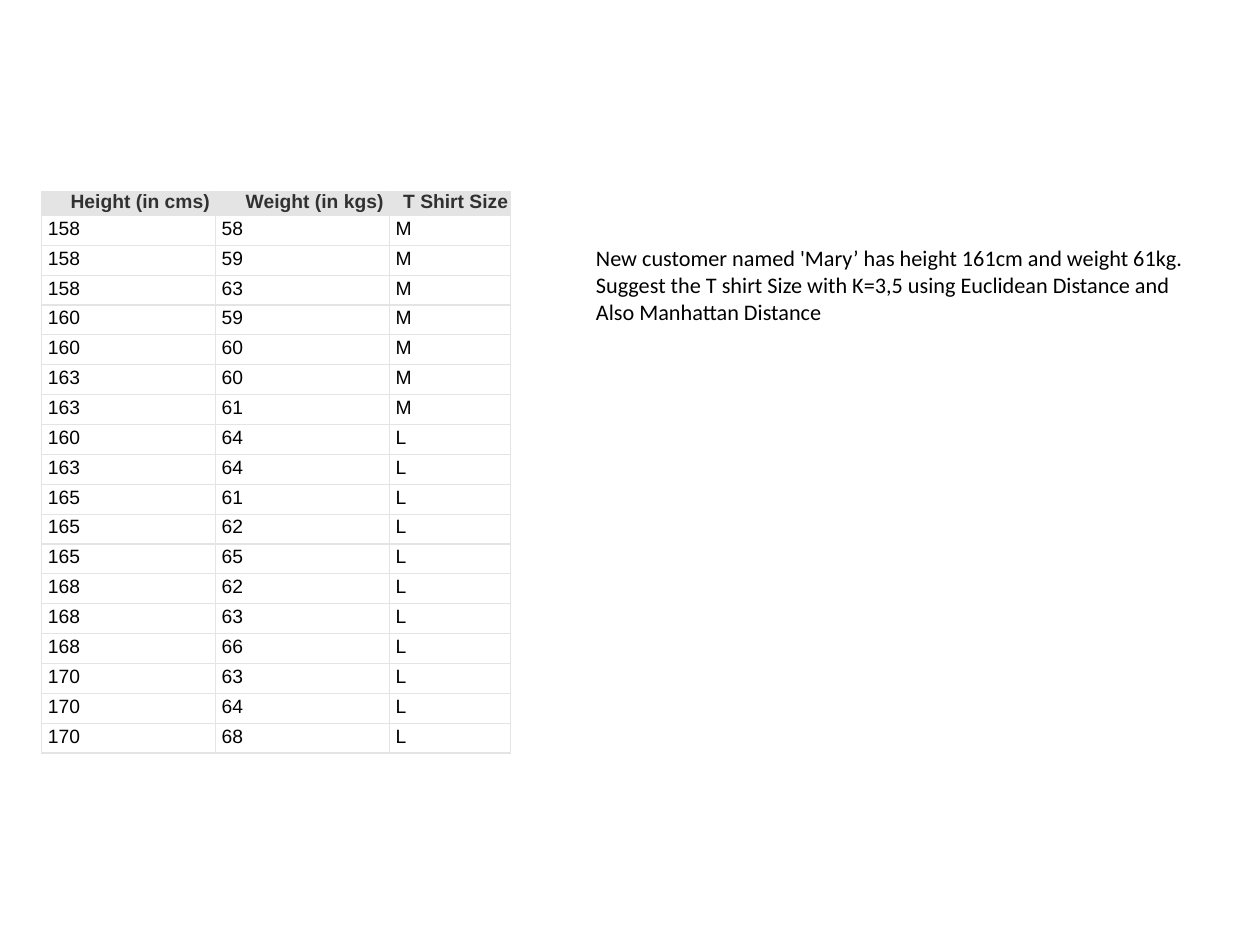
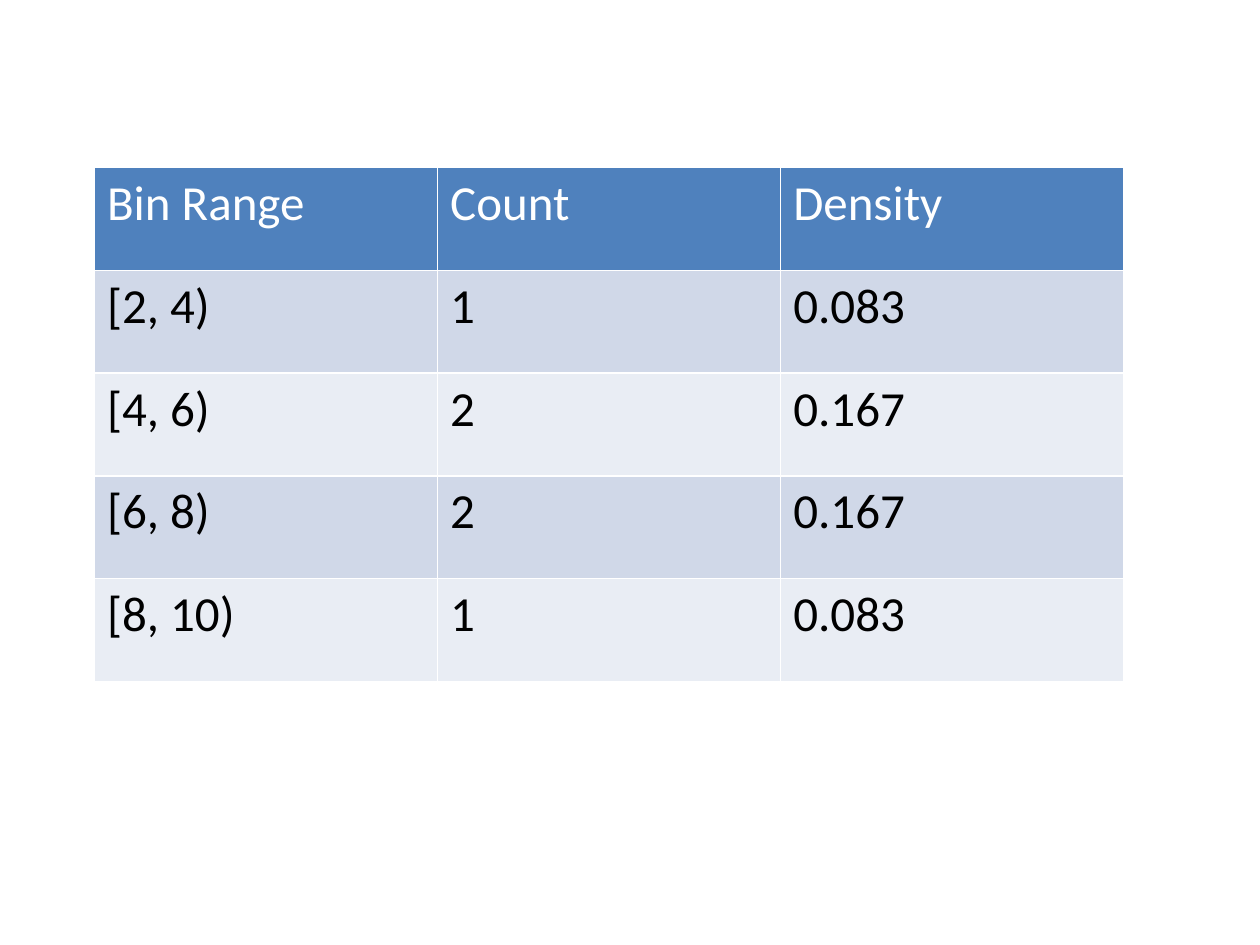
"""Build two slides: a T-shirt size exercise and a histogram bin table."""
from dataclasses import dataclass

import pptx
import pptx.dml.color
import pptx.oxml
import pptx.oxml.ns
import pptx.util
from pptx.util import Inches

COLOURS = {
    "white": "FFFFFF",
    "black": "000000",
    "heading": "313131",
    "rule": "E4E4E4",
    "blue": "4F81BD",
    "band_dark": "D0D8E8",
    "band_light": "E9EDF4",
}


@dataclass(frozen=True)
class Type:
    font: str
    size: float
    colour: str
    bold: bool = False


@dataclass(frozen=True)
class Insets:
    lefts: tuple[float, ...]
    top: float
    right: float = 0
    bottom: float = 0


@dataclass(frozen=True)
class TableLook:
    heading: Type
    body: Type
    heading_fill: str
    body_fills: tuple[str, ...]
    border: str
    border_width: float
    heading_insets: Insets
    body_insets: Insets


@dataclass(frozen=True)
class Grid:
    left: float
    top: float
    widths: tuple[float, ...]
    heading_height: float
    body_height: float
    rows: list[tuple[str, ...]]


STANDARD_INSETS = Insets((0.1,) * 3, 0.05, 0.1, 0.05)
SIZES_LOOK = TableLook(
    Type("Arial", 11, "heading", True), Type("Arial", 11, "black"),
    "rule", ("white",), "rule", 0.75,
    Insets((0.23, 0.24, 0.11), 0), Insets((0.05,) * 3, 0.02),
)
BINS_LOOK = TableLook(
    Type("Calibri", 28, "white"), Type("Calibri", 28, "black"),
    "blue", ("band_dark", "band_light"), "white", 1,
    STANDARD_INSETS, STANDARD_INSETS,
)

MEASUREMENTS = {
    "M": ["158 58", "158 59", "158 63", "160 59", "160 60", "163 60", "163 61"],
    "L": ["160 64", "163 64", "165 61", "165 62", "165 65", "168 62",
          "168 63", "168 66", "170 63", "170 64", "170 68"],
}
SIZES = Grid(
    0.33, 1.52, (1.38, 1.38, 0.96), 0.19, 4.27 / 18,
    [("Height (in cms)", "Weight (in kgs)", "T Shirt Size")]
    + [(*pair.split(), size) for size, pairs in MEASUREMENTS.items() for pair in pairs],
)
BINS = Grid(
    0.75, 1.33, (8.17 / 3,) * 3, 4.08 / 5, 4.08 / 5,
    [("Bin Range", "Count", "Density"),
     ("[2, 4)", "1", "0.083"),
     ("[4, 6)", "2", "0.167"),
     ("[6, 8)", "2", "0.167"),
     ("[8, 10)", "1", "0.083")],
)
QUESTION = (
    "New customer named 'Mary’ has height 161cm and weight 61kg. "
    "Suggest the T shirt Size with K=3,5 using Euclidean Distance and "
    "Also Manhattan Distance"
)


def rgb(name: str) -> pptx.dml.color.RGBColor:
    return pptx.dml.color.RGBColor.from_string(COLOURS[name])


def write(frame, text: str, style: Type) -> None:
    frame.text = text
    font = frame.paragraphs[0].runs[0].font
    font.name = style.font
    font.size = pptx.util.Pt(style.size)
    font.bold = style.bold
    font.color.rgb = rgb(style.colour)


def add_borders(cell, colour: str, width: float) -> None:
    properties = cell._tc.get_or_add_tcPr()
    for position, side in enumerate(("lnL", "lnR", "lnT", "lnB")):
        border = pptx.oxml.parse_xml(
            f'<a:{side} {pptx.oxml.ns.nsdecls("a")} w="{int(pptx.util.Pt(width))}">'
            f'<a:solidFill><a:srgbClr val="{COLOURS[colour]}"/></a:solidFill></a:{side}>'
        )
        properties.insert(position, border)


def add_grid(slide, grid: Grid, look: TableLook) -> None:
    body_count = len(grid.rows) - 1
    table = slide.shapes.add_table(
        len(grid.rows), len(grid.widths), Inches(grid.left), Inches(grid.top),
        Inches(sum(grid.widths)),
        Inches(grid.heading_height + body_count * grid.body_height),
    ).table
    for column, width in zip(table.columns, grid.widths):
        column.width = Inches(width)
    for index, values in enumerate(grid.rows):
        if index == 0:
            height, style, insets = grid.heading_height, look.heading, look.heading_insets
            fill = look.heading_fill
        else:
            height, style, insets = grid.body_height, look.body, look.body_insets
            fill = look.body_fills[(index - 1) % len(look.body_fills)]
        table.rows[index].height = Inches(height)
        for cell, text, left in zip(table.rows[index].cells, values, insets.lefts):
            cell.margin_left, cell.margin_top = Inches(left), Inches(insets.top)
            cell.margin_right, cell.margin_bottom = Inches(insets.right), Inches(insets.bottom)
            cell.fill.solid()
            cell.fill.fore_color.rgb = rgb(fill)
            write(cell.text_frame, text, style)
            add_borders(cell, look.border, look.border_width)


def add_question(slide) -> None:
    frame = slide.shapes.add_textbox(
        Inches(4.72), Inches(1.93), Inches(4.76), Inches(0.65)
    ).text_frame
    frame.word_wrap = True
    frame.margin_left = frame.margin_top = Inches(0.01)
    frame.margin_right = frame.margin_bottom = 0
    write(frame, QUESTION, Type("Calibri", 12.7, "black"))


def main() -> None:
    deck = pptx.Presentation()
    deck.slide_width, deck.slide_height = Inches(10), Inches(7.5)
    blank = deck.slide_layouts[6]
    exercise = deck.slides.add_slide(blank)
    add_grid(exercise, SIZES, SIZES_LOOK)
    add_question(exercise)
    histogram = deck.slides.add_slide(blank)
    add_grid(histogram, BINS, BINS_LOOK)
    deck.save("out.pptx")


if __name__ == "__main__":
    main()
